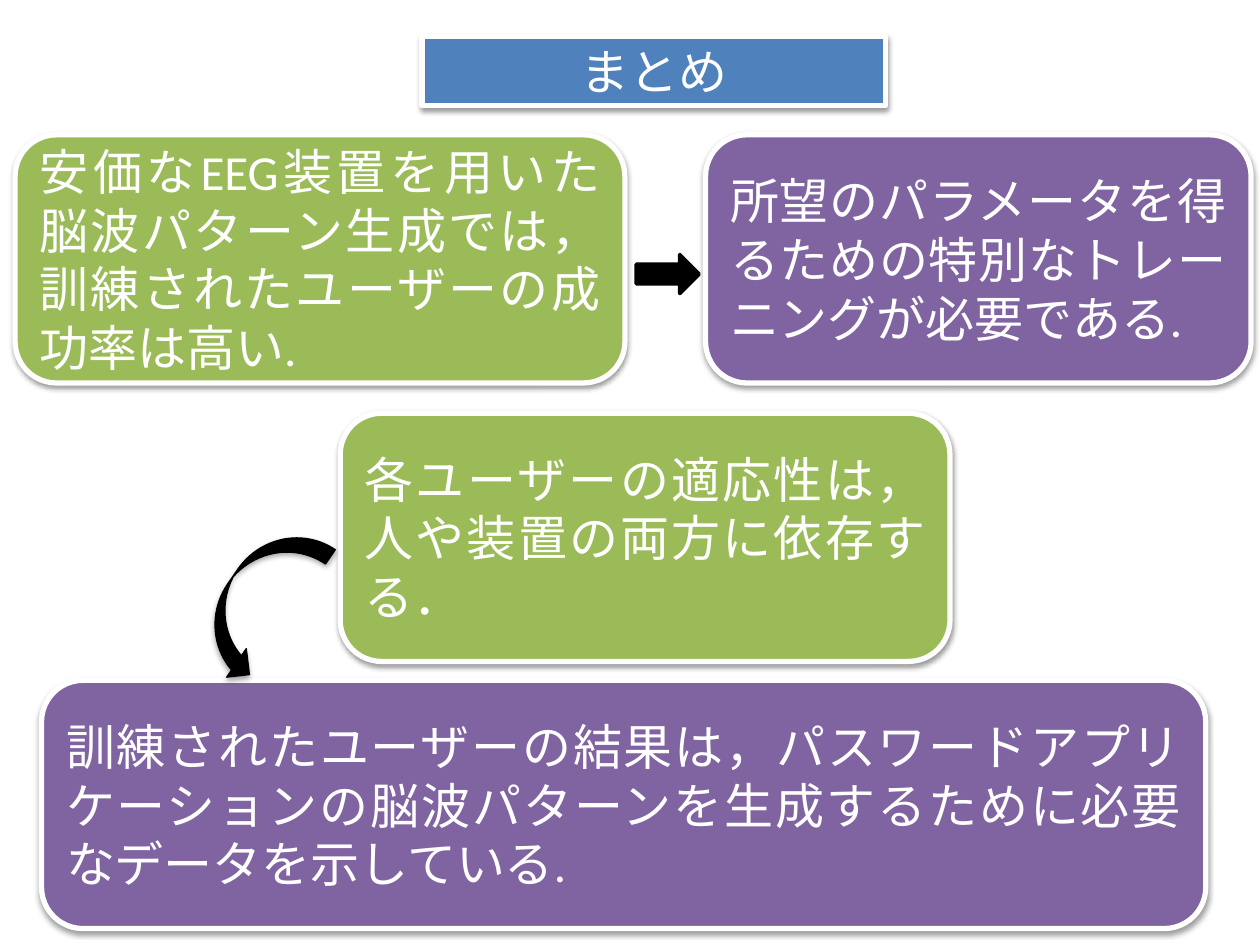
from lxml import etree
from pptx import Presentation
from pptx.dml.color import RGBColor
from pptx.enum.lang import MSO_LANGUAGE_ID
from pptx.enum.shapes import MSO_SHAPE
from pptx.enum.text import MSO_ANCHOR, MSO_AUTO_SIZE, PP_ALIGN
from pptx.oxml import parse_xml
from pptx.oxml.ns import nsdecls, qn
from pptx.util import Inches, Pt

ROUND = MSO_SHAPE.ROUNDED_RECTANGLE
RIGHT = MSO_SHAPE.RIGHT_ARROW
CURVED = MSO_SHAPE.CURVED_RIGHT_ARROW
MIDDLE = MSO_ANCHOR.MIDDLE
FIXED = MSO_AUTO_SIZE.NONE
CENTER, JUSTIFY = PP_ALIGN.CENTER, PP_ALIGN.JUSTIFY
JAPANESE = MSO_LANGUAGE_ID.JAPANESE

WHITE = RGBColor(0xFF, 0xFF, 0xFF)
BLACK = RGBColor(0x00, 0x00, 0x00)
GREEN = RGBColor(0x9B, 0xBB, 0x59)
PURPLE = RGBColor(0x80, 0x64, 0xA2)
BLUE = RGBColor(0x4F, 0x81, 0xBD)

BOX_H = 1.97
BOXES = [
    (0.12, 1.07, 4.84, GREEN,
     "安価なEEG装置を用いた脳波パターン生成では，訓練されたユーザーの成功率は高い."),
    (5.6, 1.07, 4.33, PURPLE,
     "所望のパラメータを得るための特別なトレーニングが必要である."),
    (2.7, 3.28, 4.84, GREEN,
     "各ユーザーの適応性は，人や装置の両方に依存する．"),
    (0.33, 5.4, 9.24, PURPLE,
     "訓練されたユーザーの結果は，パスワードアプリケーションの"
     "脳波パターンを生成するために必要なデータを示している."),
]


class Deck:
    font = {"name": "Calibri", "size": Pt(28), "language_id": JAPANESE}
    frame = {"word_wrap": True, "auto_size": FIXED, "vertical_anchor": MIDDLE}

    def __init__(self):
        self.prs = Presentation()
        self.prs.slide_width = Inches(10)
        self.prs.slide_height = Inches(7.5)
        self.slide = self.prs.slides.add_slide(self.prs.slide_layouts[5])

    def paint(self, shape, fill, line, width):
        shape.shadow.inherit = False
        shape.fill.solid()
        shape.fill.fore_color.rgb = fill
        shape.line.color.rgb = line
        shape.line.width = Pt(width)

    def shade(self, shape, alpha, dist):
        """Drop a soft black shadow straight down; alpha in percent."""
        effects = shape._element.spPr.find(qn("a:effectLst"))
        cast = etree.SubElement(effects, qn("a:outerShdw"), blurRad=str(Pt(3.1)),
                                dist=str(Pt(dist)), dir="5400000", rotWithShape="0")
        tint = etree.SubElement(cast, qn("a:srgbClr"), val=str(BLACK))
        etree.SubElement(tint, qn("a:alpha"), val=str(alpha * 1000))

    def label(self, shape, text, align):
        frame = shape.text_frame
        for key, value in self.frame.items():
            setattr(frame, key, value)
        para = frame.paragraphs[0]
        para.alignment = align
        run = para.add_run()
        run.text = text
        for key, value in self.font.items():
            setattr(run.font, key, value)
        run.font.color.rgb = WHITE

    def panel(self, shape, fill, text, align):
        """Give a shape the white rim, shadow and text of every box."""
        self.paint(shape, fill, WHITE, 3)
        self.shade(shape, 38, 1.6)
        self.label(shape, text, align)

    def title(self, text, fill, *area):
        shape = self.slide.shapes.title
        for key, value in zip(("left", "top", "width", "height"), area):
            setattr(shape, key, Inches(value))
        shape._element.spPr.append(parse_xml(
            f'<a:prstGeom {nsdecls("a")} prst="roundRect"><a:avLst/></a:prstGeom>'))
        self.panel(shape, fill, text, CENTER)

    def box(self, left, top, width, fill, text):
        shape = self.slide.shapes.add_shape(
            ROUND, *map(Inches, (left, top, width, BOX_H)))
        self.panel(shape, fill, text, JUSTIFY)

    def arrow(self, kind, area, width, turn=0):
        shape = self.slide.shapes.add_shape(kind, *map(Inches, area))
        shape.rotation = turn
        self.paint(shape, BLACK, BLACK, width)
        return shape

    def save(self):
        self.prs.save("out.pptx")


def main():
    deck = Deck()
    deck.title("まとめ", BLUE, 3.35, 0.29, 3.68, 0.55)
    for box in BOXES:
        deck.box(*box)
    deck.arrow(RIGHT, (5.05, 2.02, 0.5, 0.31), 2)
    bend = deck.arrow(CURVED, (1.78, 4.09, 0.55, 1.34), 0.75, 34.5)
    deck.shade(bend, 35, 1.8)
    deck.save()


if __name__ == "__main__":
    main()
